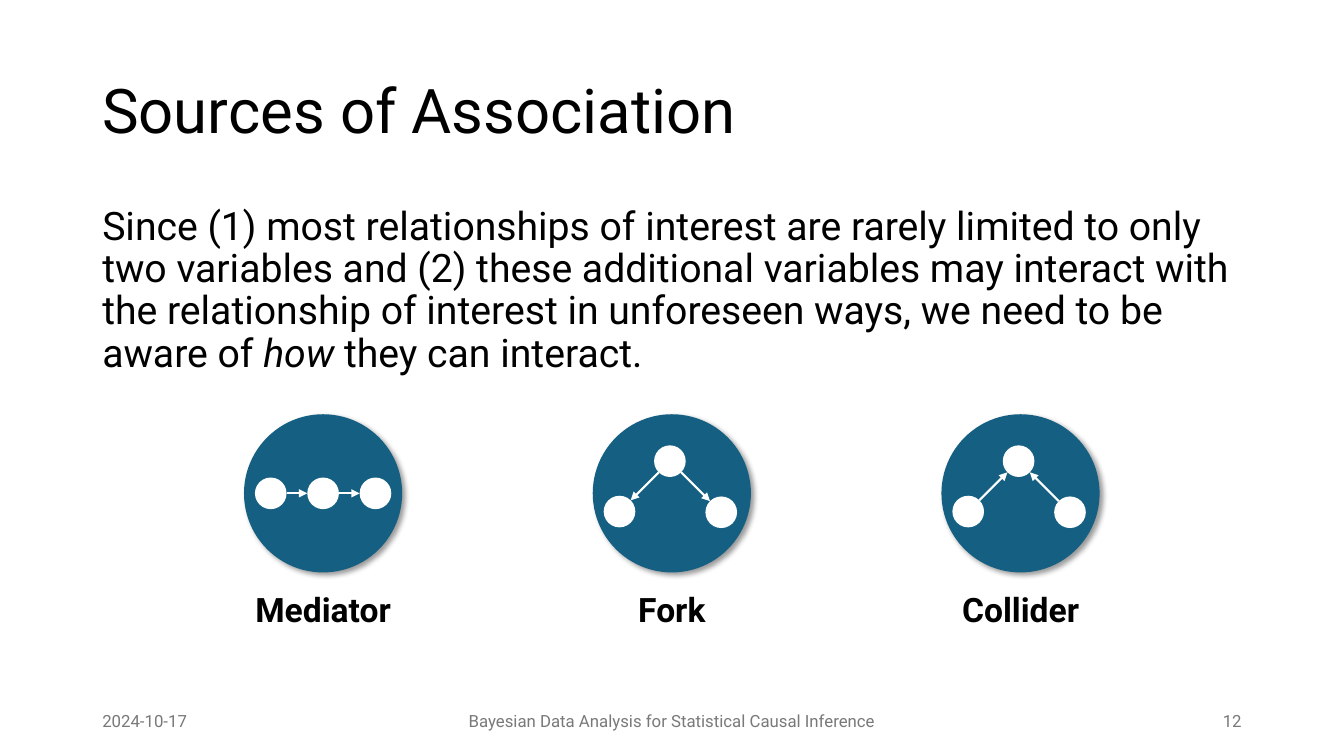
from math import hypot

from lxml.etree import SubElement
from pptx import Presentation
from pptx.dml.color import RGBColor
from pptx.enum.shapes import MSO_CONNECTOR, MSO_SHAPE
from pptx.enum.text import MSO_ANCHOR, PP_ALIGN
from pptx.oxml.ns import qn
from pptx.util import Pt

FONT = "Roboto"
BLACK = RGBColor(0x00, 0x00, 0x00)
GREY = RGBColor(0x79, 0x79, 0x79)
WHITE = RGBColor(0xFF, 0xFF, 0xFF)
TEAL = RGBColor(0x15, 0x60, 0x82)

MARGIN = 66
CONTENT_WIDTH = 828
DISC_SIZE = 113
NODE_SIZE = 22.6
DISC_CENTER_Y = 352.4
FIRST_CENTER_X = 230.8
DISC_PITCH = 249.1
LABEL_WIDTH = 159
LABEL_TOP = 417

CHAIN = [(-37.4, 0), (0, 0), (37.4, 0)]
TRIANGLE = [(-37.4, 13), (-1.4, -23), (35.3, 13.5)]
DIAGRAMS = [
    ("Mediator", CHAIN, [(0, 1), (1, 2)]),
    ("Fork", TRIANGLE, [(1, 0), (1, 2)]),
    ("Collider", TRIANGLE, [(0, 1), (2, 1)]),
]


def add_text(shapes, box, runs, size, color=BLACK, align=PP_ALIGN.LEFT,
             anchor=MSO_ANCHOR.TOP, bold=False, line_spacing=None, space_before=0):
    """Add one paragraph made of (text, italic) runs."""
    frame = shapes.add_textbox(*map(Pt, box)).text_frame
    frame.word_wrap = True
    frame.vertical_anchor = anchor
    paragraph = frame.paragraphs[0]
    paragraph.alignment = align
    paragraph.line_spacing = line_spacing
    paragraph.space_before = Pt(space_before)
    for text, italic in runs:
        run = paragraph.add_run()
        run.text = text
        run.font.name = FONT
        run.font.size = Pt(size)
        run.font.bold = bold
        run.font.italic = italic
        run.font.color.rgb = color


def add_circle(shapes, center_x, center_y, size, color):
    """Add a filled circle around a centre and return it."""
    circle = shapes.add_shape(MSO_SHAPE.OVAL, Pt(center_x - size / 2),
                              Pt(center_y - size / 2), Pt(size), Pt(size))
    circle.shadow.inherit = False
    circle.fill.solid()
    circle.fill.fore_color.rgb = color
    circle.line.fill.background()
    return circle


def cast_shadow(circle):
    """Give a circle a soft shadow to the lower right."""
    effects = circle._element.spPr.find(qn("a:effectLst"))
    shadow = SubElement(effects, qn("a:outerShdw"), blurRad=str(Pt(4)),
                        dist=str(Pt(3)), dir="2700000", algn="tl", rotWithShape="0")
    shade = SubElement(shadow, qn("a:srgbClr"), val=str(BLACK))
    SubElement(shade, qn("a:alpha"), val="40000")


def add_arrow(shapes, cause, effect):
    """Add an arrow from the rim of one node to the rim of another."""
    (x1, y1), (x2, y2) = cause, effect
    reach = NODE_SIZE / 2 / hypot(x2 - x1, y2 - y1)
    dx, dy = (x2 - x1) * reach, (y2 - y1) * reach
    arrow = shapes.add_connector(MSO_CONNECTOR.STRAIGHT, Pt(x1 + dx), Pt(y1 + dy),
                                 Pt(x2 - dx), Pt(y2 - dy))
    arrow.line.color.rgb = WHITE
    arrow.line.width = Pt(1.5)
    SubElement(arrow.line._get_or_add_ln(), qn("a:tailEnd"), type="triangle")
    SubElement(arrow._element.spPr, qn("a:effectLst"))


def add_diagram(slide, center_x, label, offsets, edges):
    """Add a grouped disc with its causal graph and label."""
    shapes = slide.shapes.add_group_shape().shapes
    cast_shadow(add_circle(shapes, center_x, DISC_CENTER_Y, DISC_SIZE, TEAL))
    nodes = [(center_x + dx, DISC_CENTER_Y + dy) for dx, dy in offsets]
    for node in nodes:
        add_circle(shapes, *node, NODE_SIZE, WHITE)
    for cause, effect in edges:
        add_arrow(shapes, nodes[cause], nodes[effect])
    add_text(shapes, (center_x - LABEL_WIDTH / 2, LABEL_TOP, LABEL_WIDTH, 36),
             [(label, False)], 24, align=PP_ALIGN.CENTER, bold=True)


def add_footer(slide):
    """Add the date, the course title and the slide number."""
    for left, width, text, align in [
        (MARGIN, 216, "2024-10-17", PP_ALIGN.LEFT),
        (318, 324, "Bayesian Data Analysis for Statistical Causal Inference",
         PP_ALIGN.CENTER),
        (678, 216, "12", PP_ALIGN.RIGHT),
    ]:
        add_text(slide.shapes, (left, 500.5, width, 28.75), [(text, False)], 12,
                 GREY, align, MSO_ANCHOR.MIDDLE)


def main():
    """Build the slide and save it."""
    presentation = Presentation()
    presentation.slide_width = Pt(960)
    presentation.slide_height = Pt(540)
    slide = presentation.slides.add_slide(presentation.slide_layouts[6])
    add_text(slide.shapes, (MARGIN, 28.75, CONTENT_WIDTH, 104.4),
             [("Sources of Association", False)], 44,
             anchor=MSO_ANCHOR.MIDDLE, line_spacing=0.9)
    explanation = [
        ("Since (1) most relationships of interest are rarely limited to only two "
         "variables and (2) these additional variables may interact with the "
         "relationship of interest in unforeseen ways, we need to be aware of ", False),
        ("how", True),
        (" they can interact.", False),
    ]
    add_text(slide.shapes, (MARGIN, 143.75, CONTENT_WIDTH, 137.5), explanation, 28,
             line_spacing=0.9, space_before=10)
    add_footer(slide)
    for index, (label, offsets, edges) in enumerate(DIAGRAMS):
        add_diagram(slide, FIRST_CENTER_X + index * DISC_PITCH, label, offsets, edges)
    presentation.save("out.pptx")


if __name__ == "__main__":
    main()
